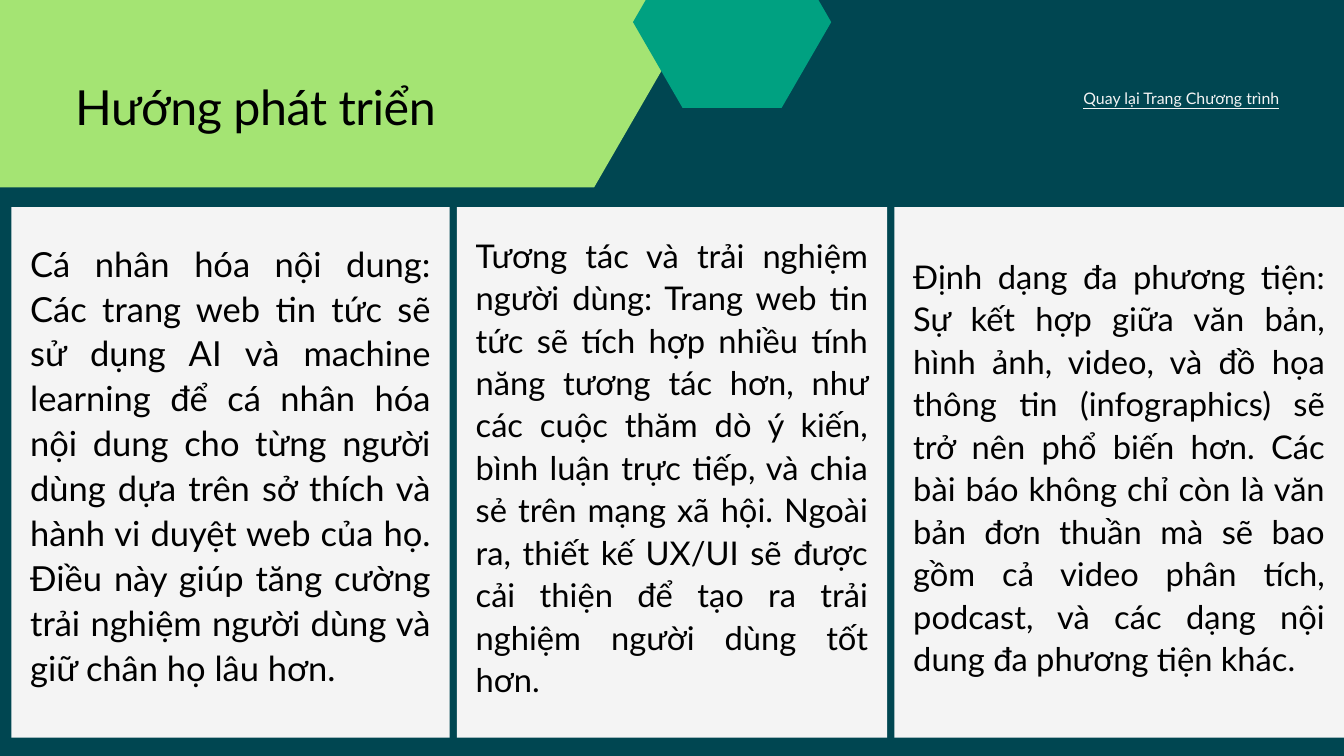
from dataclasses import dataclass

from pptx import Presentation
from pptx.dml.color import RGBColor
from pptx.enum.shapes import MSO_SHAPE
from pptx.enum.text import MSO_ANCHOR, MSO_AUTO_SIZE, PP_ALIGN
from pptx.util import Pt

RECTANGLE, HEXAGON = MSO_SHAPE.RECTANGLE, MSO_SHAPE.HEXAGON
TOP, MIDDLE = MSO_ANCHOR.TOP, MSO_ANCHOR.MIDDLE
LEFT, RIGHT, JUSTIFY = PP_ALIGN.LEFT, PP_ALIGN.RIGHT, PP_ALIGN.JUSTIFY
NO_AUTOFIT = MSO_AUTO_SIZE.NONE
TITLE_ONLY = 5


@dataclass(frozen=True)
class Theme:
    font: str = "Lato"
    background: str = "004651"
    panel: str = "F4F4F4"
    lime: str = "A4E473"
    teal: str = "00A181"
    ink: str = "000000"
    title_size: float = 51.8
    large_size: float = 37
    body_size: float = 35
    link_size: float = 17


THEME = Theme()
SLIDE_W, SLIDE_H = 1440, 810
CARD_LEFT, CARD_TOP, CARD_H, CARD_GAP = 12.2, 222, 568.4, 7.8
CARD_PAD = 20.16

# Width, top inset, type size, line spacing, text
CARDS = [
    (469.5, 1.4, THEME.large_size, 48.1,
     "Cá nhân hóa nội dung: Các trang web tin tức sẽ sử dụng AI và machine "
     "learning để cá nhân hóa nội dung cho từng người dùng dựa trên sở thích "
     "và hành vi duyệt web của họ. Điều này giúp tăng cường trải nghiệm người "
     "dùng và giữ chân họ lâu hơn."),
    (461, 5.8, THEME.body_size, 45.5,
     "Tương tác và trải nghiệm người dùng: Trang web tin tức sẽ tích hợp nhiều "
     "tính năng tương tác hơn, như các cuộc thăm dò ý kiến, bình luận trực "
     "tiếp, và chia sẻ trên mạng xã hội. Ngoài ra, thiết kế UX/UI sẽ được cải "
     "thiện để tạo ra trải nghiệm người dùng tốt hơn."),
    (481.7, 5.8, THEME.body_size, 45.5,
     "Định dạng đa phương tiện: Sự kết hợp giữa văn bản, hình ảnh, video, và đồ "
     "họa thông tin (infographics) sẽ trở nên phổ biến hơn. Các bài báo không "
     "chỉ còn là văn bản đơn thuần mà sẽ bao gồm cả video phân tích, podcast, "
     "và các dạng nội dung đa phương tiện khác."),
]


def write(tf, text, *, size, leading, color=THEME.ink, align=LEFT, anchor=TOP,
          insets=(0, 0, 0, 0), underline=False, tracking=0):
    """Fill a text frame; insets run left, top, right, bottom, all in points."""
    tf.word_wrap = True
    tf.auto_size = NO_AUTOFIT
    tf.vertical_anchor = anchor
    tf.margin_left, tf.margin_top, tf.margin_right, tf.margin_bottom = map(Pt, insets)
    p = tf.paragraphs[0]
    p.alignment = align
    p.line_spacing = Pt(leading)
    p.space_before = Pt(0)
    r = p.add_run()
    r.text = text
    r.font.name = THEME.font
    r.font.size = Pt(size)
    r.font.color.rgb = RGBColor.from_string(color)
    if underline:
        r.font.underline = True
    if tracking:
        r._r.get_or_add_rPr().set("spc", str(round(tracking * 100)))


class SlideBuilder:
    def __init__(self, slide, theme):
        self.s = slide
        self.theme = theme

    def background(self):
        fill = self.s.background.fill
        fill.solid()
        fill.fore_color.rgb = RGBColor.from_string(self.theme.background)

    def shape(self, kind, x, y, w, h, color):
        sp = self.s.shapes.add_shape(kind, Pt(x), Pt(y), Pt(w), Pt(h))
        sp.shadow.inherit = False
        sp.fill.solid()
        sp.fill.fore_color.rgb = RGBColor.from_string(color)
        sp.line.fill.background()
        return sp

    def hexagon(self, x, y, w, h, color):
        sp = self.shape(HEXAGON, x, y, w, h, color)
        sp.adjustments[0] = 0.289  # 60-degree corners

    def title(self, text, x, y, w, h):
        """Place the title in front of the shapes drawn so far."""
        sp = self.s.shapes.title
        self.s.shapes.element.append(sp.element)
        sp.left, sp.top, sp.width, sp.height = map(Pt, (x, y, w, h))
        write(sp.text_frame, text, size=self.theme.title_size, leading=67.3,
              tracking=-0.5)

    def link_label(self, text, x, y, w, h):
        sp = self.s.shapes.add_textbox(Pt(x), Pt(y), Pt(w), Pt(h))
        write(sp.text_frame, text, size=self.theme.link_size, leading=23.8,
              color=self.theme.panel, align=RIGHT, underline=True)

    def card(self, text, x, w, top_inset, size, leading):
        sp = self.shape(RECTANGLE, x, CARD_TOP, w, CARD_H, self.theme.panel)
        write(sp.text_frame, text, size=size, leading=leading, align=JUSTIFY,
              anchor=MIDDLE, insets=(CARD_PAD, top_inset, CARD_PAD, CARD_PAD))


def main():
    prs = Presentation()
    prs.slide_width, prs.slide_height = Pt(SLIDE_W), Pt(SLIDE_H)
    slide = prs.slides.add_slide(prs.slide_layouts[TITLE_ONLY])
    builder = SlideBuilder(slide, THEME)

    builder.background()
    builder.hexagon(-229.7, -289.6, 1008, 490.3, THEME.lime)
    builder.hexagon(678.2, -68.2, 212.4, 183.8, THEME.teal)
    builder.title("Hướng phát triển", 80.6, 77, 610.6, 65.5)
    builder.link_label("Quay lại Trang Chương trình", 1139, 91.4, 231.8, 21.6)

    x = CARD_LEFT
    for width, top_inset, size, leading, text in CARDS:
        builder.card(text, x, width, top_inset, size, leading)
        x += width + CARD_GAP

    prs.save("out.pptx")


if __name__ == "__main__":
    main()
